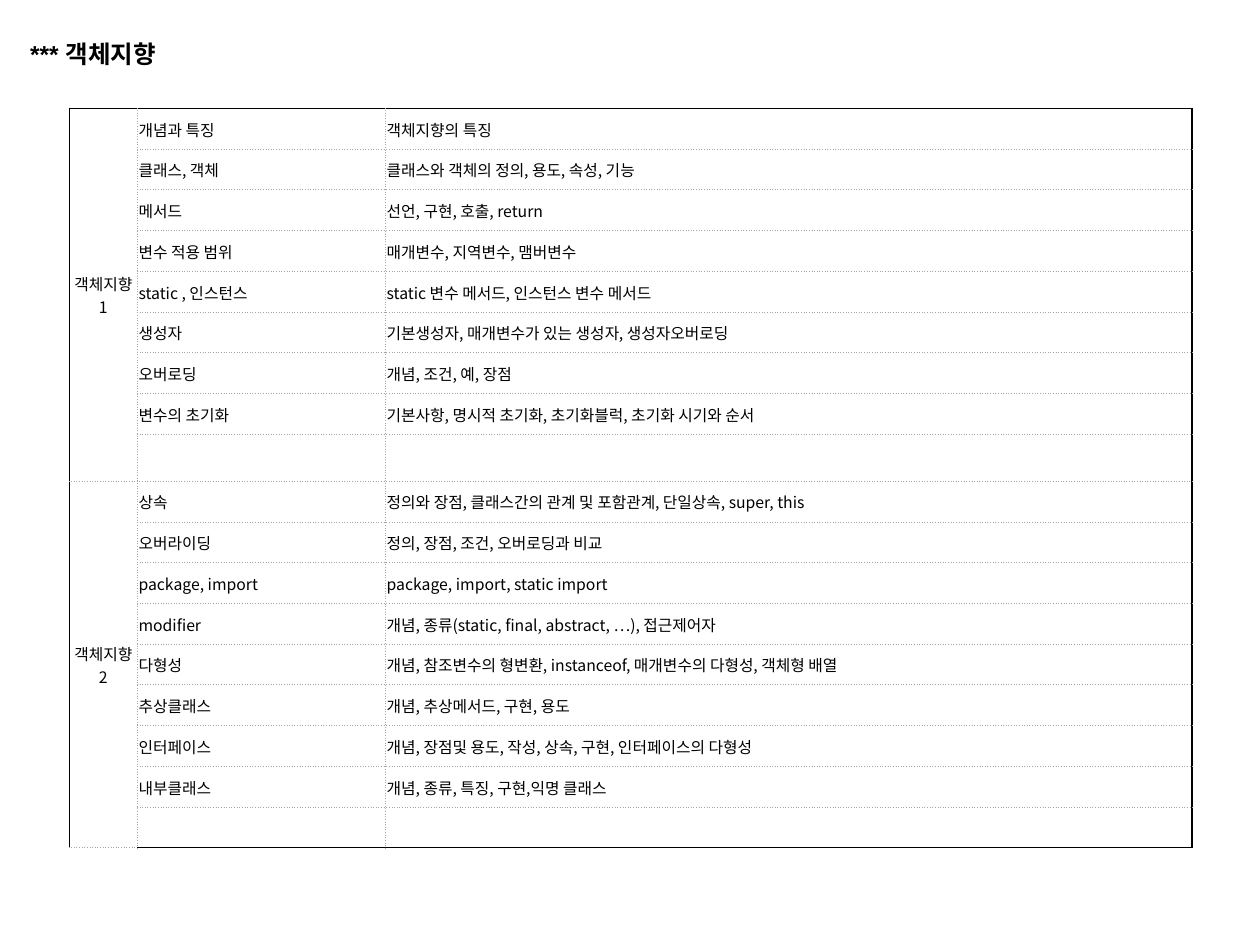
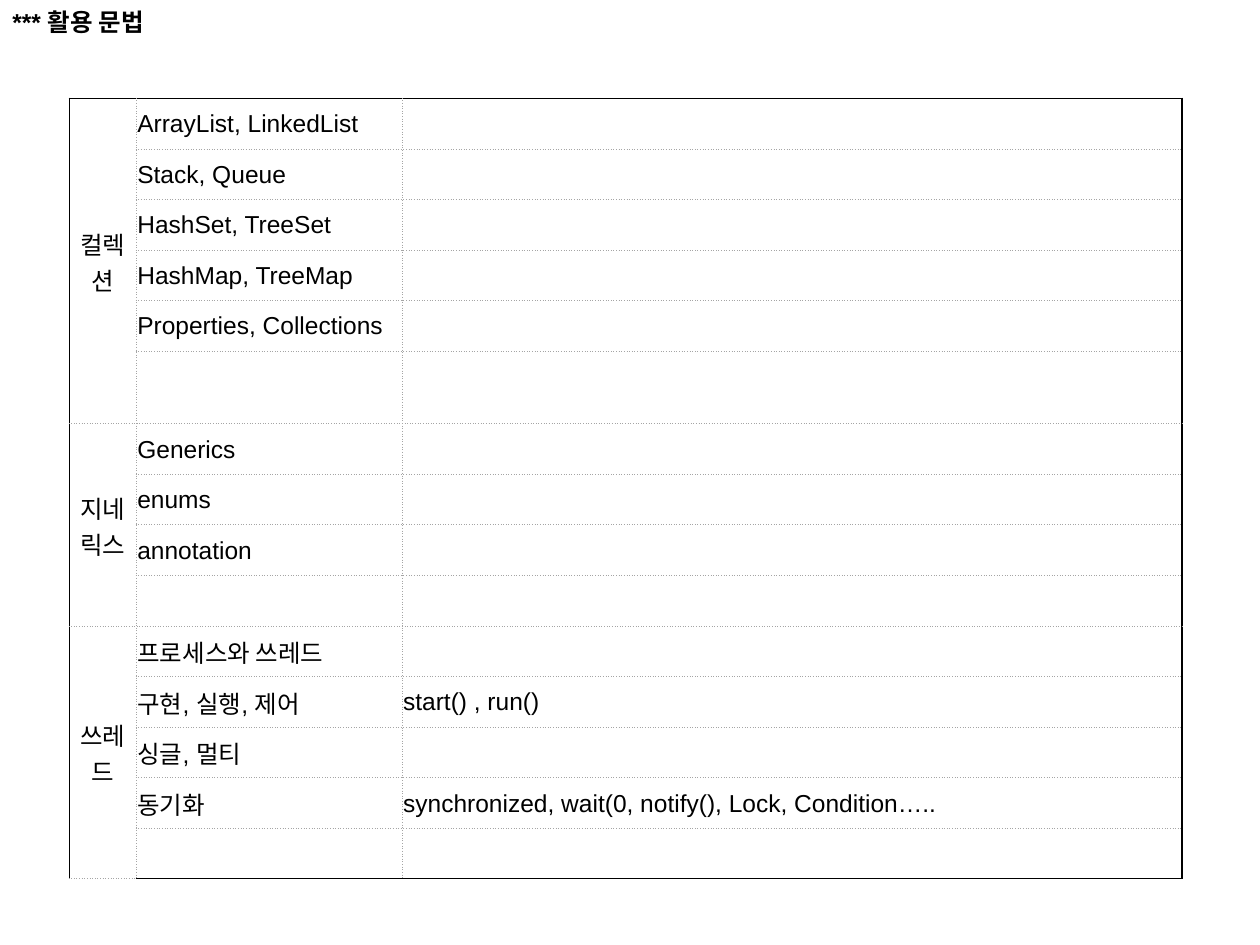
from lxml import etree
from pptx import Presentation
from pptx.dml.color import RGBColor
from pptx.enum.shapes import MSO_SHAPE
from pptx.enum.text import MSO_ANCHOR, PP_ALIGN
from pptx.oxml.ns import qn
from pptx.util import Pt

RECT = MSO_SHAPE.RECTANGLE
TOP, MID = MSO_ANCHOR.TOP, MSO_ANCHOR.MIDDLE
LEFT, MIDDLE = PP_ALIGN.LEFT, PP_ALIGN.CENTER
PX = 1270
WHITE, BLACK, GRAY = "FFFFFF", "000000", "A5A5A5"
KOREAN = "Noto Sans CJK KR"


def paint(fmt, tint):
    fmt.solid()
    fmt.fore_color.rgb = RGBColor.from_string(tint)


def write(para, text, face, size, bold=False):
    run = para.add_run()
    run.text = text
    font = run.font
    font.name, font.size, font.bold = face, Pt(size), bold
    paint(font.fill, BLACK)
    east = etree.SubElement(font._element, qn("a:ea"))
    east.set("typeface", KOREAN)


PAGES = [
    {
        "title": "*** 객체지향", "box": (101, 187, 7006, 5026),
        "grid": (396, 619), "cols": (389, 1418, 4608),
        "row": 233, "tall": {8: 269}, "face": KOREAN, "size": 9,
        "groups": [
            ("객체지향1", [
                ("개념과 특징", "객체지향의 특징"),
                ("클래스, 객체", "클래스와 객체의 정의, 용도, 속성, 기능"),
                ("메서드", "선언, 구현, 호출, return"),
                ("변수 적용 범위", "매개변수, 지역변수, 맴버변수"),
                ("static , 인스턴스", "static 변수 메서드, 인스턴스 변수 메서드"),
                ("생성자", "기본생성자, 매개변수가 있는 생성자, 생성자오버로딩"),
                ("오버로딩", "개념, 조건, 예, 장점"),
                ("변수의 초기화", "기본사항, 명시적 초기화, 초기화블럭, 초기화 시기와 순서"),
                ("", ""),
            ]),
            ("객체지향2", [
                ("상속", "정의와 장점, 클래스간의 관계 및 포함관계, 단일상속, super, this"),
                ("오버라이딩", "정의, 장점, 조건, 오버로딩과 비교"),
                ("package, import", "package, import, static import"),
                ("modifier", "개념, 종류(static, final, abstract, …), 접근제어자"),
                ("다형성", "개념, 참조변수의 형변환, instanceof, 매개변수의 다형성, 객체형 배열"),
                ("추상클래스", "개념, 추상메서드, 구현, 용도"),
                ("인터페이스", "개념, 장점및 용도, 작성, 상속, 구현, 인터페이스의 다형성"),
                ("내부클래스", "개념, 종류, 특징, 구현,익명 클래스"),
                ("", ""),
            ]),
        ],
    },
    {
        "title": "*** 활용 문법", "box": (0, 0, 7006, 4745),
        "grid": (396, 562), "cols": (382, 1519, 4457),
        "row": 289, "tall": {5: 411}, "face": "Arial", "size": 14,
        "groups": [
            ("컬렉션", [
                ("ArrayList, LinkedList", ""),
                ("Stack, Queue", ""),
                ("HashSet, TreeSet", ""),
                ("HashMap, TreeMap", ""),
                ("Properties, Collections", ""),
                ("", ""),
            ]),
            ("지네릭스", [
                ("Generics", ""),
                ("enums", ""),
                ("annotation", ""),
                ("", ""),
            ]),
            ("쓰레드", [
                ("프로세스와 쓰레드", ""),
                ("구현, 실행, 제어", "start() , run()"),
                ("싱글, 멀티", ""),
                ("동기화", "synchronized, wait(0, notify(), Lock, Condition….."),
                ("", ""),
            ]),
        ],
    },
]

deck = Presentation()
deck.slide_width, deck.slide_height = 7200 * PX, 5400 * PX

for page in PAGES:
    slide = deck.slides.add_slide(deck.slide_layouts[6])
    box = slide.shapes.add_shape(RECT, *(n * PX for n in page["box"]))
    box.shadow.inherit = False
    paint(box.fill, WHITE)
    box.line.fill.background()
    frame = box.text_frame
    frame.word_wrap = True
    frame.vertical_anchor = TOP
    head = frame.paragraphs[0]
    head.alignment = LEFT
    head.line_spacing = Pt(17)
    write(head, page["title"], "Arial", 14, True)

    rows = []
    spans = []
    for name, items in page["groups"]:
        spans.append((len(rows), len(rows) + len(items) - 1))
        for i, pair in enumerate(items):
            rows.append(("" if i else name, *pair))
    highs = [page["tall"].get(i, page["row"]) for i in range(len(rows))]
    cols = page["cols"]
    left, top = page["grid"]
    table = slide.shapes.add_table(
        len(rows), len(cols), left * PX, top * PX, sum(cols) * PX, sum(highs) * PX
    ).table
    table.first_row = table.horz_banding = False
    for col, wide in zip(table.columns, cols):
        col.width = wide * PX
    for row, high in zip(table.rows, highs):
        row.height = high * PX
    for first, last in spans:
        table.cell(first, 0).merge(table.cell(last, 0))

    for r, texts in enumerate(rows):
        for c, text in enumerate(texts):
            cell = table.cell(r, c)
            cell.vertical_anchor = MID
            cell.margin_left = cell.margin_right = cell.margin_top = 7 * PX
            cell.margin_bottom = 0
            para = cell.text_frame.paragraphs[0]
            para.alignment = LEFT if c else MIDDLE
            if text:
                write(para, text, page["face"], page["size"])
            else:
                end = etree.SubElement(para._p, qn("a:endParaRPr"))
                end.set("sz", str(page["size"] * 100))
            props = cell._tc.get_or_add_tcPr()
            if c == 0:
                props.set("vert", "eaVert")
            edges = {
                "L": c == 0,
                "R": c == len(cols) - 1,
                "T": r == 0,
                "B": r == len(rows) - 1,
            }
            for side, outer in edges.items():
                line = etree.SubElement(props, qn("a:ln" + side))
                line.set("w", str(Pt(1) if outer else Pt(0.5)))
                fill = etree.SubElement(line, qn("a:solidFill"))
                tint = etree.SubElement(fill, qn("a:srgbClr"))
                tint.set("val", BLACK if outer else GRAY)
                dash = etree.SubElement(line, qn("a:prstDash"))
                dash.set("val", "solid" if outer else "sysDot")
            cell.fill.background()

deck.save("out.pptx")
